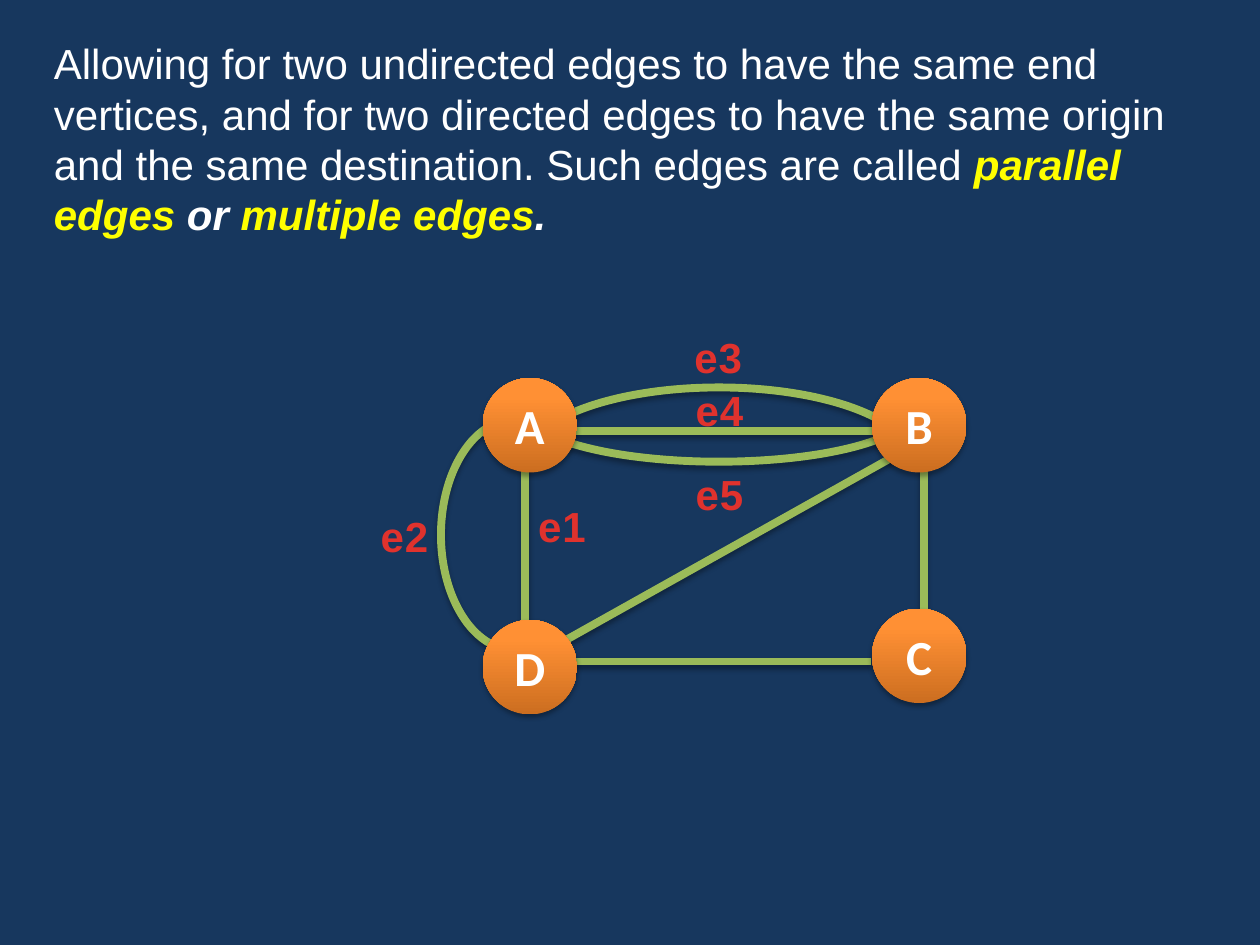
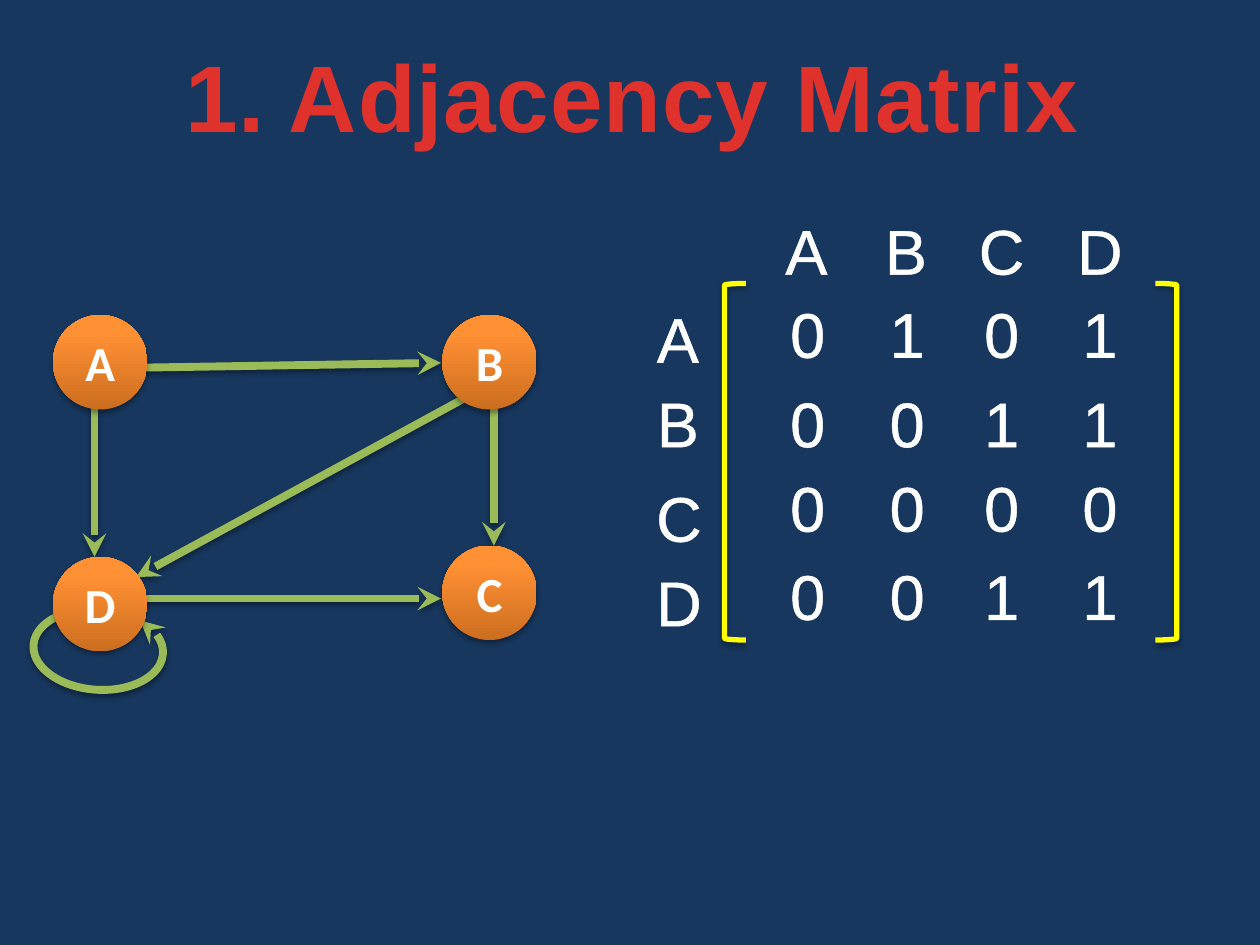
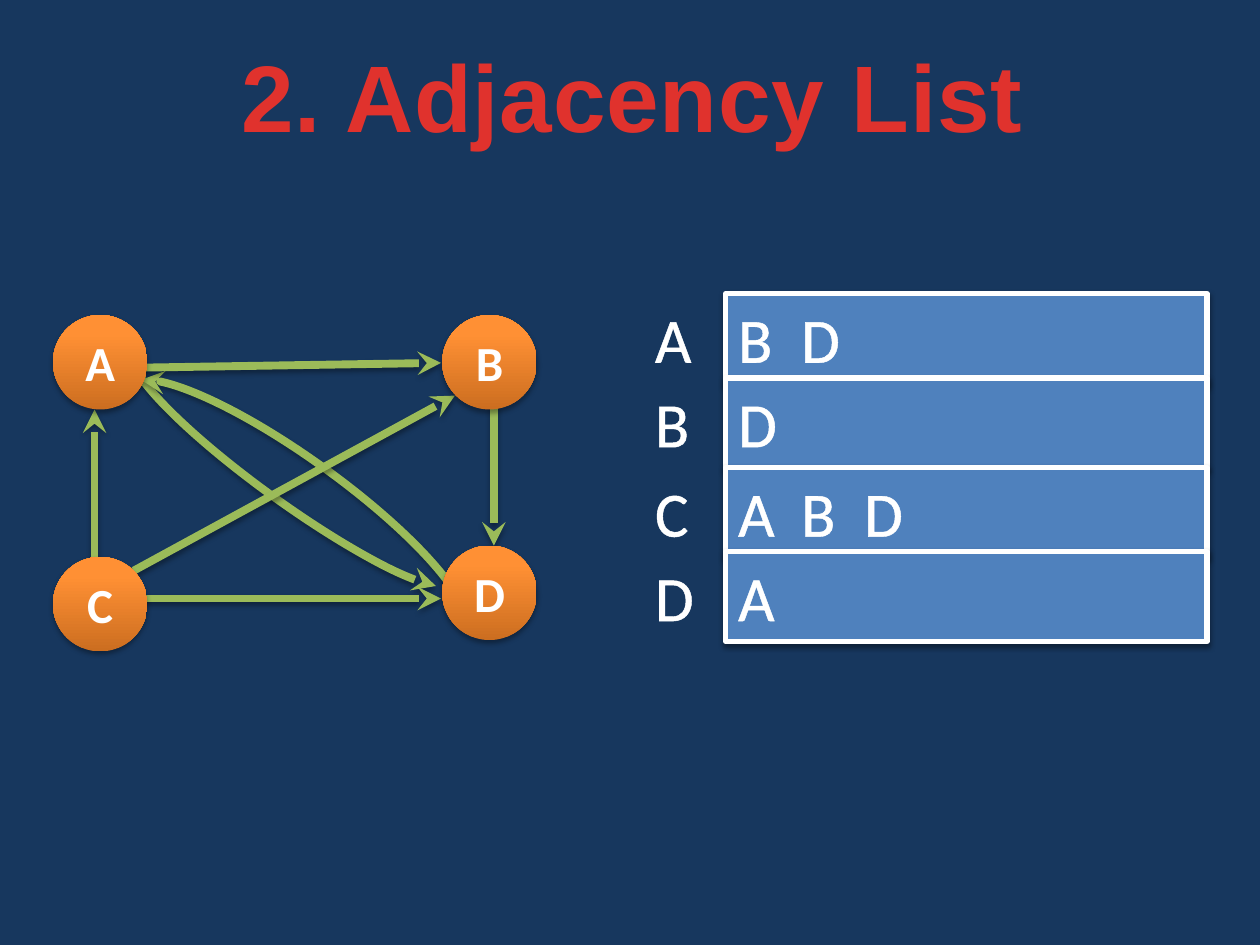
"""Build three slides on parallel edges, adjacency matrices and adjacency lists."""
from lxml import etree
from pptx import Presentation
from pptx import util as u
from pptx.dml.color import RGBColor
from pptx.enum import shapes, text
from pptx.oxml.ns import qn

NAVY = RGBColor(0x17, 0x37, 0x5E)
WHITE = RGBColor(0xFF, 0xFF, 0xFF)
YELLOW = RGBColor(0xFF, 0xFF, 0x00)
GREEN = RGBColor(0x9B, 0xBB, 0x59)
BLUE = RGBColor(0x4F, 0x81, 0xBD)
EMBER = ((0, RGBColor(0xCC, 0x6E, 0x20)), (80, RGBColor(0xFF, 0x90, 0x34)),
         (100, RGBColor(0xFF, 0x91, 0x36)))
REDS = ((25, RGBColor(0xE0, 0x32, 0x2D)), (100, RGBColor(0xA2, 0x20, 0x1C)))

BODY, ROUND = "Arial", "Calibri"
SHAPE, ALIGN = shapes.MSO_SHAPE, text.PP_ALIGN
NODE = 0.75
SPOTS = ((0, 0), (3.09, 0), (3.09, 1.83), (0, 1.92))
ROWS = (2.33, 3, 3.71, 4.38)
RIGHT = (3.5, 0.67, 3.5, 1.83)
BASE = (0.58, 2.25, 3.08, 2.25)
TOP = (0.58, 0.42, 3.08, 0.38)


def node(parent, tag, **attrs):
    return etree.SubElement(parent, qn(tag), {k: str(v) for k, v in attrs.items()})


def blend(parent, spot, stops, angle):
    grad = etree.Element(qn("a:gradFill"))
    parent.insert(spot, grad)
    items = node(grad, "a:gsLst")
    for place, color in stops:
        stop = node(items, "a:gs", pos=place * 1000)
        node(stop, "a:srgbClr", val=color)
    node(grad, "a:lin", ang=angle * 60000, scaled=0)


def shade(item, alpha=35):
    props = item.element.spPr
    for old in props.findall(qn("a:effectLst")):
        props.remove(old)
    drop = node(node(props, "a:effectLst"), "a:outerShdw", blurRad=u.Pt(3.1),
                dist=u.Pt(1.8), dir=5400000, rotWithShape=0)
    node(node(drop, "a:srgbClr", val="000000"), "a:alpha", val=alpha * 1000)


def stroke(item, color, width, tip=False):
    item.line.color.rgb = color
    item.line.width = u.Pt(width)
    if tip:
        node(item.line._get_or_add_ln(), "a:tailEnd", type="stealth")


def flip(item, axes):
    for axis in axes:
        item.element.spPr.xfrm.set("flip" + axis.upper(), "1")


def write(para, words, size, color=WHITE, name=BODY, bold=False, slant=False,
          rim=False):
    run = para.add_run()
    run.text = words
    font = run.font
    font.size, font.name = u.Pt(size), name
    font.bold, font.italic = bold, slant
    props = font._element
    if color is REDS:
        blend(props, 0, REDS, 90)
        props.set("spc", "50")
    else:
        font.color.rgb = color
    if rim:
        edge = etree.Element(qn("a:ln"), w=str(u.Pt(1.45)))
        node(node(edge, "a:solidFill"), "a:srgbClr", val=WHITE)
        props.insert(0, edge)


def add(group, kind, box, **turn):
    item = group.add_shape(kind, *map(u.Inches, box))
    item.rotation = turn.get("angle", 0)
    flip(item, turn.get("axes", ""))
    return item


def box(slide, place, wrap=True):
    frame = slide.shapes.add_textbox(*map(u.Inches, place)).text_frame
    frame.word_wrap = wrap
    frame.auto_size = text.MSO_AUTO_SIZE.SHAPE_TO_FIT_TEXT
    return frame.paragraphs[0]


def label(slide, words, mid, top, width, high, size, **style):
    para = box(slide, (mid - width / 2, top, width, high), wrap=False)
    para.alignment = ALIGN.CENTER
    write(para, words, size, **style)


def title(slide, words, width):
    label(slide, words, 5.02, 0.25, width, 1.01, 54, color=REDS, bold=True)


def disc(group, left, top, name):
    item = add(group, SHAPE.OVAL, (left, top, NODE, NODE))
    item.line.fill.background()
    blend(item.element.spPr, 2, EMBER, 270)
    shade(item)
    frame = item.text_frame
    frame.vertical_anchor = text.MSO_ANCHOR.MIDDLE
    frame.paragraphs[0].alignment = ALIGN.CENTER
    write(frame.paragraphs[0], name, 28, name=ROUND, bold=True)


def edge(group, left, top, ends, tip):
    x1, y1, x2, y2 = ends
    item = group.add_connector(
        shapes.MSO_CONNECTOR.STRAIGHT, u.Inches(left + x1), u.Inches(top + y1),
        u.Inches(left + x2), u.Inches(top + y2))
    stroke(item, GREEN, 4.5, tip)
    shade(item)


def curve(group, left, top, place, angle, axes, span, tip):
    x, y, wide, high = place
    item = add(group, SHAPE.ARC, (left + x, top + y, wide, high),
               angle=angle, axes=axes)
    item.adjustments[0], item.adjustments[1] = span
    item.fill.background()
    stroke(item, GREEN, 4.5, tip)
    shade(item)


def graph(slide, left, top, names, curves, edges, tip=True):
    group = slide.shapes.add_group_shape().shapes
    for bend in curves:
        curve(group, left, top, *bend, tip)
    for ends in edges:
        edge(group, left, top, ends, tip)
    for name, (x, y) in zip(names, SPOTS):
        disc(group, left + x, top + y, name)


def bracket(slide, left, axes=""):
    item = add(slide.shapes, SHAPE.LEFT_BRACKET, (left, 2.25, 0.17, 2.83), axes=axes)
    item.fill.background()
    stroke(item, YELLOW, 3)
    shade(item)


def bar(slide, top, words):
    item = add(slide.shapes, SHAPE.RECTANGLE, (5.76, top, 3.82, 0.71))
    item.fill.solid()
    item.fill.fore_color.rgb = BLUE
    stroke(item, WHITE, 3)
    shade(item, 38)
    frame = item.text_frame
    frame.vertical_anchor = text.MSO_ANCHOR.TOP
    frame.paragraphs[0].alignment = ALIGN.LEFT
    write(frame.paragraphs[0], words, 36, name=ROUND, rim=True)


def page(deck):
    slide = deck.slides.add_slide(deck.slide_layouts[6])
    slide.background.fill.solid()
    slide.background.fill.fore_color.rgb = NAVY
    return slide


def multi(slide):
    para = box(slide, (0.33, 0.25, 9.33, 1.72))
    write(para, "Allowing for two undirected edges to have the same end vertices, "
          "and for two directed edges to have the same origin and the same "
          "destination. Such edges are called ", 24)
    for words, color in (("parallel edges", YELLOW), (" or ", WHITE),
                         ("multiple edges", YELLOW), (".", WHITE)):
        write(para, words, 24, color, bold=True, slant=True)
    half = (162, 52.35)
    curves = (((1.46, -1.29, 0.83, 3.08), 90, "v", half),
              ((1.29, -0.88, 1.17, 3.08), 90, "hv", half),
              ((-0.33, 0.33, 1.17, 1.83), 0, "hv", (162, 47.94)))
    edges = ((3.34, 0.58, 0.5, 2.17), RIGHT, (0.34, 0.67, 0.34, 1.92), BASE,
             (0.58, 0.42, 3.25, 0.42))
    graph(slide, 3.83, 3, "ABCD", curves, edges, tip=False)
    for name, mid, top in (("e1", 4.46, 3.92), ("e2", 3.21, 4), ("e3", 5.7, 2.58),
                           ("e5", 5.71, 3.67), ("e4", 5.71, 3)):
        label(slide, name, mid, top, 0.59, 0.5, 24, color=REDS, bold=True)


def matrix(slide):
    loop = ((0.04, 2.14, 0.64, 1.03), 94, "v", (128.32, 77.12))
    edges = ((3.25, 0.67, 0.66, 2.08), RIGHT, (0.33, 0.67, 0.33, 1.92), BASE, TOP)
    graph(slide, 0.42, 2.5, "ABCD", (loop,), edges)
    title(slide, "1. Adjacency Matrix", 7.38)
    cols = (6.4, 7.19, 7.94, 8.72)
    cells = [(name, mid, 1.63) for name, mid in zip("ABCD", cols)]
    cells += [(name, 5.38, top) for name, top in zip("ABCD", (2.33, 3, 3.75, 4.42))]
    for row, top in zip(("0101", "0011", "0000", "0011"), (2.29, 3, 3.67, 4.37)):
        cells += [(digit, mid + 0.01, top) for digit, mid in zip(row, cols)]
    for words, mid, top in cells:
        label(slide, words, mid, top, 0.54, 0.71, 36, rim=True)
    bracket(slide, 5.75)
    bracket(slide, 9.17, "h")


def listing(slide):
    half = (162.7, 51.77)
    curves = (((1.63, -0.35, 0.55, 3.13), 305.8, "h", half),
              ((1.54, -0.12, 0.77, 3.29), 305.8, "v", half))
    edges = ((0.33, 2.08, 0.33, 0.75), (0.64, 2.03, 3.19, 0.64), RIGHT, BASE, TOP)
    graph(slide, 0.42, 2.5, "ABDC", curves, edges)
    title(slide, "2. Adjacency List", 6.48)
    for name, top in zip("ABCD", ROWS):
        write(box(slide, (5.1, top, 4.4, 0.71)), name, 36, name=ROUND, rim=True)
    for links, top in zip(("BD", "D", "ABD", "A"), ROWS):
        bar(slide, top, "\t".join(links))


def main():
    deck = Presentation()
    deck.slide_width, deck.slide_height = u.Inches(10), u.Inches(7.5)
    for fill in (multi, matrix, listing):
        fill(page(deck))
    deck.save("out.pptx")


main()
